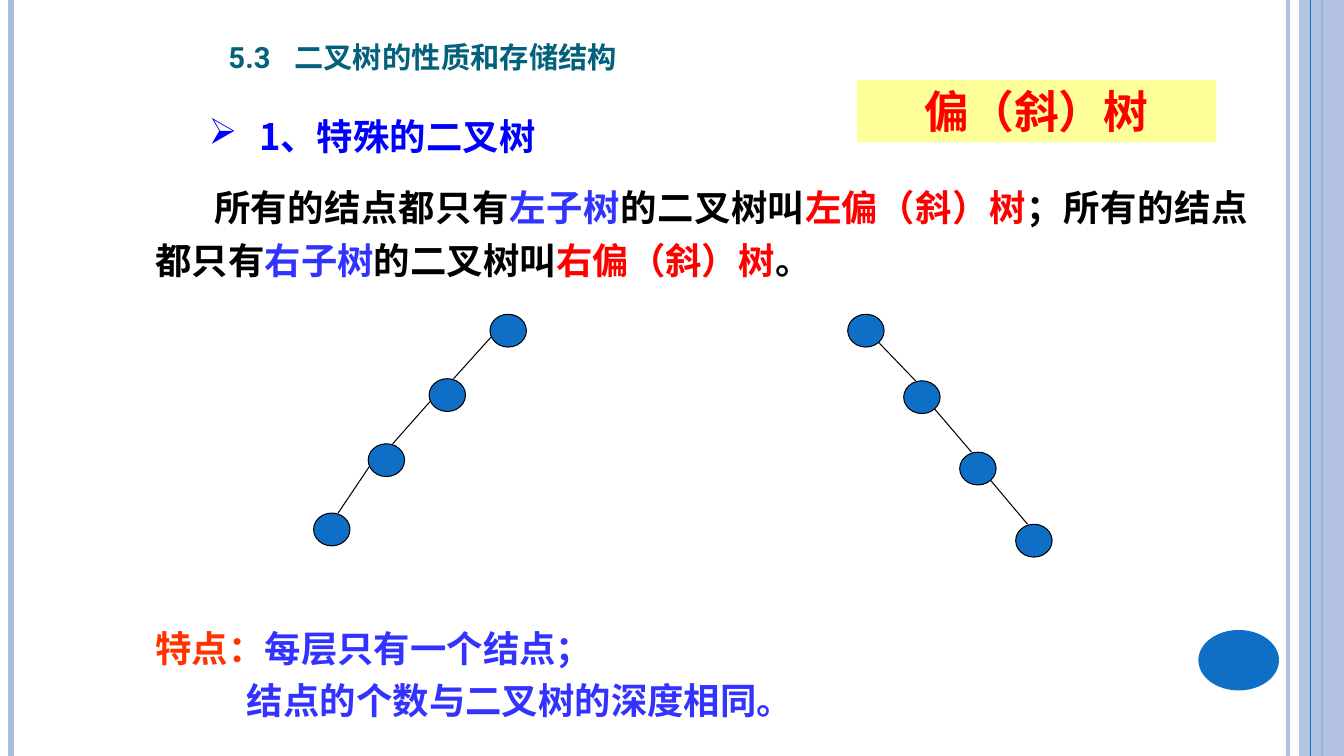
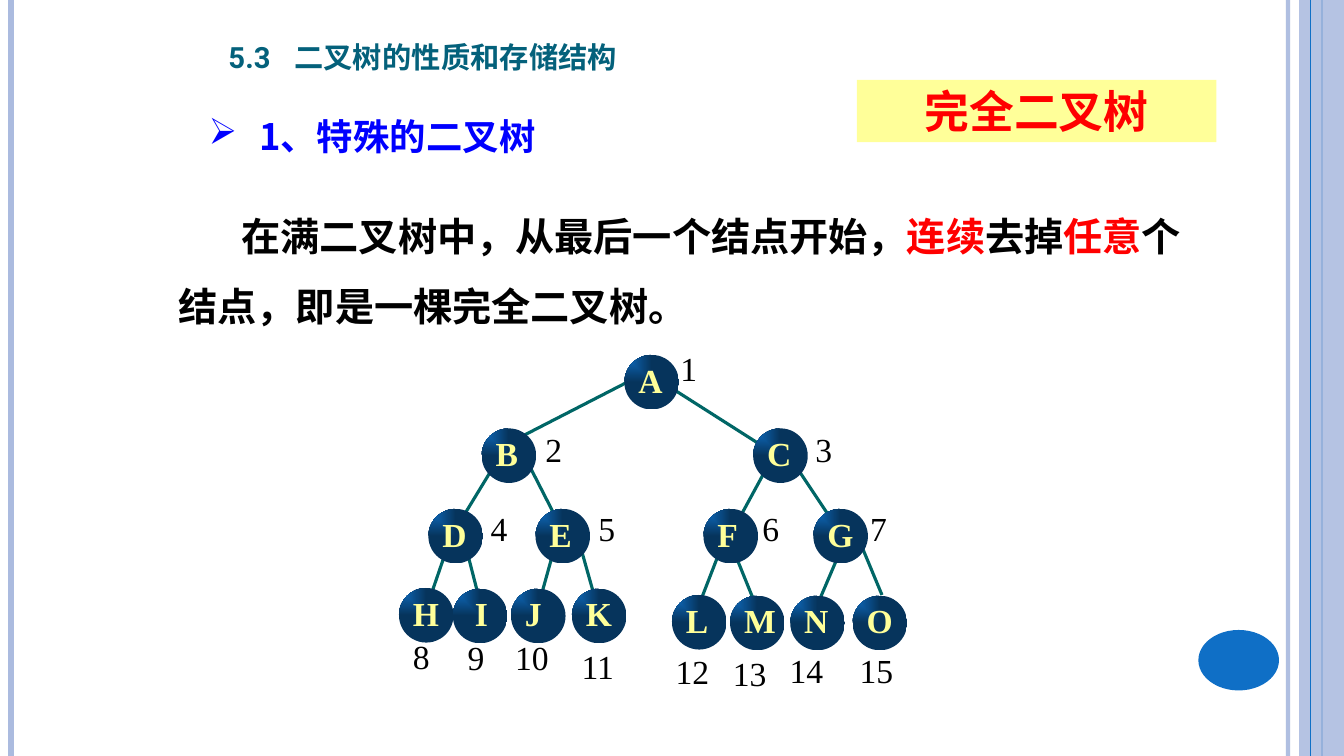
import pptx
import pptx.util
import pptx.dml.color
import pptx.enum.shapes
import pptx.enum.text
import pptx.oxml.ns
from lxml import etree

Pt = pptx.util.Pt
qn = pptx.oxml.ns.qn
Kind = pptx.enum.shapes.MSO_SHAPE
Align = pptx.enum.text.PP_ALIGN
Anchor = pptx.enum.text.MSO_ANCHOR
LINE = pptx.enum.shapes.MSO_CONNECTOR.STRAIGHT


class Theme:
    blue, pale, navy = "0F6FC6", "ABBBDF", "06345C"
    teal, green, lemon = "04617B", "006666", "FFFF99"
    black, red, orange = "000000", "FF0000", "FF3300"
    link, violet = "0000FF", "3333FF"
    sans, head, serif, han = "Arial", "Roboto", "Times New Roman", "Noto Sans CJK SC"
    title, tag, topic, large, node = 26.2, 32, 26, 28, 24


def draw(page, kind, box, fill=None, rim=None, width=0.75):
    pts = [Pt(v) for v in box]
    if kind is LINE:
        item = page.shapes.add_connector(kind, *pts)
    else:
        item = page.shapes.add_shape(kind, *pts)
        item.shadow.inherit = False
        item.fill.solid()
        item.fill.fore_color.rgb = pptx.dml.color.RGBColor.from_string(fill)
    if rim:
        item.line.color.rgb = pptx.dml.color.RGBColor.from_string(rim)
        item.line.width = Pt(width)
    else:
        item.line.fill.background()
    if kind is LINE:
        etree.SubElement(item.element.spPr, qn("a:effectLst"))
    return item


def write(para, runs, size, face, bold=True, align=Align.LEFT):
    para.alignment = align
    font = para.font
    font.size, font.bold, font.name = Pt(size), bold, face
    font.color.rgb = pptx.dml.color.RGBColor.from_string(runs[0][1])
    mark = para._p.pPr.find(qn("a:defRPr"))
    etree.SubElement(mark, qn("a:ea")).set("typeface", Theme.han)
    for text, tint in runs:
        run = para.add_run()
        run.text = text
        if len(runs) > 1:
            run.font.color.rgb = pptx.dml.color.RGBColor.from_string(tint)
    return mark


deck = pptx.Presentation()
deck.slide_width, deck.slide_height = Pt(960), Pt(540)
layout = deck.slide_layouts[5]
skew = deck.slides.add_slide(layout)
full = deck.slides.add_slide(layout)

bands = [
    (LINE, (920, 0, 920, 540), None, Theme.pale, 3, 93),
    (LINE, (8, 0, 8, 540), None, Theme.pale, 4.5, 100),
    (LINE, (944, 0, 944, 540), None, Theme.blue, 1.5, 100),
    (Kind.RECTANGLE, (928, 0, 32, 540), Theme.pale, None, 0, 87),
    (LINE, (936, 0, 936, 540), None, Theme.blue, 0.75, 100),
    (Kind.OVAL, (856, 450, 57.6, 43.2), Theme.blue, None, 0, 100),
]
for num, (kind, box, fill, rim, width, alpha) in enumerate(bands, 20):
    band = draw(skew, kind, box, fill, rim, width)
    band.element.xpath(".//p:cNvPr")[0].set("id", str(num))
    if alpha < 100:
        tint = next(band.element.iter(qn("a:srgbClr")))
        etree.SubElement(tint, qn("a:alpha")).set("val", str(alpha * 1000))
    layout.shapes.element.append(band.element)

skewtext = [
    ((100.8, 122.5, 794, 90), 3.6, Theme.topic, 37.6, Align.JUSTIFY, [
        (6.5, 42, [
            ("所有的结点都只有", Theme.black), ("左子树", Theme.violet),
            ("的二叉树叫", Theme.black), ("左偏（斜）树", Theme.red),
            ("；所有的结点都只有", Theme.black), ("右子树", Theme.violet),
            ("的二叉树叫", Theme.black), ("右偏（斜）树", Theme.red),
            ("。", Theme.black)]),
    ]),
    ((100.8, 437, 794, 90), 3.6, Theme.topic, 37.6, Align.JUSTIFY, [
        (6.5, 0, [("特点：", Theme.orange), ("每层只有一个结点；", Theme.violet)]),
        (72, 0, [("结点的个数与二叉树的深度相同。", Theme.violet)]),
    ]),
]
fulltext = [
    ((127.5, 131.5, 722, 108), 0, Theme.large, 50, Align.LEFT, [
        (0, 45, [
            ("在满二叉树中，从最后一个结点开始，", Theme.black),
            ("连续", Theme.red), ("去掉", Theme.black), ("任意", Theme.red),
            ("个结点，即是一棵完全二叉树。", Theme.black)]),
    ]),
]

for page, name, texts in [(skew, "偏（斜）树", skewtext), (full, "完全二叉树", fulltext)]:
    title = page.shapes.title
    title.left, title.top, title.width, title.height = Pt(156), Pt(14), Pt(361.5), Pt(44)
    frame = title.text_frame
    frame.auto_size = pptx.enum.text.MSO_AUTO_SIZE.NONE
    frame.vertical_anchor = Anchor.BOTTOM
    para = frame.paragraphs[0]
    tabs = etree.SubElement(para._p.get_or_add_pPr(), qn("a:tabLst"))
    etree.SubElement(tabs, qn("a:tab"), pos=str(Pt(47)), algn="l")
    mark = write(para, [("5.3\t二叉树的性质和存储结构", Theme.teal)], Theme.title, Theme.head)
    mark.set("cap", "small")

    frame = page.shapes.add_textbox(Pt(142), Pt(71.8), Pt(272), Pt(44.6)).text_frame
    frame.word_wrap = True
    para = frame.paragraphs[0]
    para.line_spacing = Pt(37.6)
    props = para._p.get_or_add_pPr()
    props.set("marL", str(Pt(36)))
    props.set("indent", str(-Pt(36)))
    etree.SubElement(props, qn("a:buChar")).set("char", "➢")
    write(para, [("1、特殊的二叉树", Theme.link)], Theme.topic, Theme.han)

    tag = draw(page, Kind.RECTANGLE, (612, 57, 257, 44.6), Theme.lemon)
    tag.text_frame.vertical_anchor = Anchor.MIDDLE
    write(tag.text_frame.paragraphs[0], [(name, Theme.red)], Theme.tag, Theme.sans,
          align=Align.CENTER)

    for box, inset, size, pitch, align, paras in texts:
        frame = page.shapes.add_textbox(*[Pt(v) for v in box]).text_frame
        frame.word_wrap = True
        frame.margin_left = frame.margin_right = Pt(inset or 0)
        for num, (left, first, runs) in enumerate(paras):
            para = frame.add_paragraph() if num else frame.paragraphs[0]
            para.line_spacing = Pt(pitch)
            props = para._p.get_or_add_pPr()
            props.set("marL", str(Pt(left)))
            props.set("indent", str(Pt(first)))
            write(para, runs, size, Theme.sans, align=align)

chains = [
    ([(350, 224.5), (306.5, 270.5), (263, 317), (224, 366.5)], (1, 16), 17.5),
    ([(605.5, 224.5), (645.5, 272), (685.5, 323), (725.5, 374.5)], (22, 20), 8.5),
]
for spots, (dx, dy), end in chains:
    for (ax, ay), (bx, by) in zip(spots, spots[1:]):
        draw(skew, LINE, (ax + dx, ay + dy, bx + end, by), rim=Theme.black)
    for x, y in spots:
        draw(skew, Kind.OVAL, (x, y, 26, 23.4), Theme.blue, Theme.black)

nodes = [
    ("A", (446, 253.5), (486, 247), None),
    ("B", (344, 306), (389.5, 304.5), (450, 272, 360.5, 318)),
    ("C", (538, 306), (582.5, 304.5), (466, 268.5, 550, 322)),
    ("D", (306, 363.5), (350.5, 361.5), (355.5, 328.5, 327.5, 374.5)),
    ("E", (382.5, 363.5), (427.5, 361.5), (376, 328.5, 399.5, 374.5)),
    ("F", (502.5, 363.5), (544.5, 361.5), (550, 330, 525, 376)),
    ("G", (581, 363.5), (621.5, 361.5), (566.5, 330, 595.5, 373.5)),
    ("H", (285, 420), (295, 453), (319.5, 391, 306.5, 429)),
    ("I", (323.5, 420.5), (334, 453.5), (332.5, 389.5, 342.5, 428.5)),
    ("J", (365, 420.5), (368, 453.5), (396, 391.5, 386, 427.5)),
    ("K", (408.5, 420.5), (415.5, 459.5), (412.5, 383, 423.5, 422)),
    ("L", (480, 425), (482.5, 463.5), (515, 391.5, 500.5, 429)),
    ("M", (521.5, 425.5), (523.5, 464.5), (522.5, 389.5, 538.5, 429)),
    ("N", (564.5, 425.5), (564, 463), (600.5, 393, 586, 427)),
    ("O", (609, 425.5), (614, 463), (616.5, 392.5, 630, 425)),
]
for node in nodes[1:]:
    draw(full, LINE, node[3], rim=Theme.green, width=2.25)
for num, (name, spot, place, edge) in enumerate(nodes, 1):
    ball = draw(full, Kind.OVAL, (*spot, 39, 39), Theme.blue)
    ball.fill.gradient()
    for stop, tint, pos in zip(ball.fill.gradient_stops, (Theme.blue, Theme.navy), (0, 1)):
        stop.color.rgb = pptx.dml.color.RGBColor.from_string(tint)
        stop.position = pos
    grad = ball.element.spPr.find(qn("a:gradFill"))
    grad.remove(grad.find(qn("a:lin")))
    glow = etree.SubElement(grad, qn("a:path"))
    glow.set("path", "rect")
    etree.SubElement(glow, qn("a:fillToRect"), r="100000", b="100000")
    frame = ball.text_frame
    frame.margin_left = Pt(10 if name == "I" else 4.3)
    frame.margin_top = frame.margin_right = frame.margin_bottom = 0
    frame.vertical_anchor = Anchor.MIDDLE
    para = frame.paragraphs[0]
    para.line_spacing = 0.9
    write(para, [(name, Theme.lemon)], Theme.node, Theme.serif)

    wide = 22.5 if num < 10 else 34.5
    frame = full.shapes.add_textbox(*[Pt(v) for v in (*place, wide, 34)]).text_frame
    frame.word_wrap = True
    frame.margin_left = frame.margin_right = frame.margin_bottom = 0
    frame.margin_top = Pt(1.5)
    write(frame.paragraphs[0], [(str(num), Theme.black)], Theme.node, Theme.serif, False)

deck.save("out.pptx")
